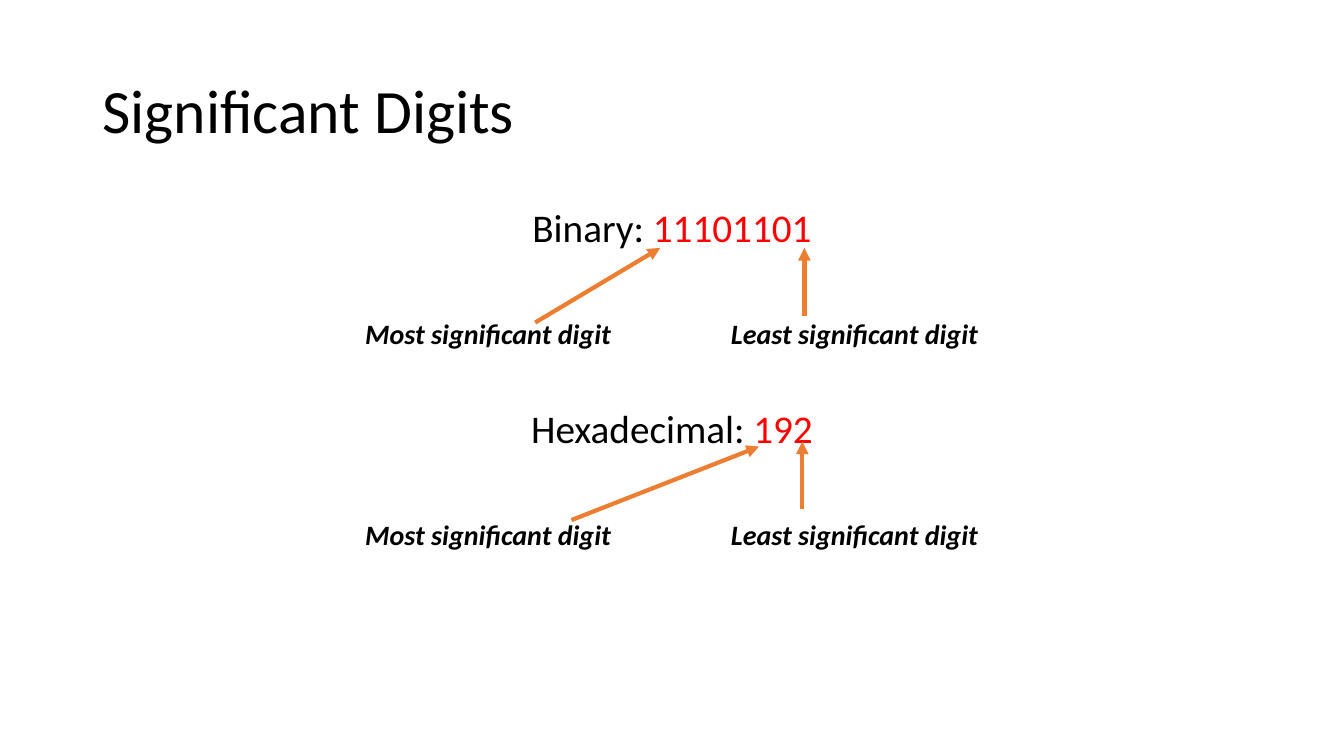
"""Build the slide on most and least significant digits."""
from dataclasses import dataclass

import lxml.etree
import pptx
import pptx.dml.color
import pptx.enum.shapes
import pptx.enum.text
import pptx.oxml.ns
import pptx.util

Pt = pptx.util.Pt
Align = pptx.enum.text.PP_ALIGN
Anchor = pptx.enum.text.MSO_ANCHOR


@dataclass(frozen=True)
class Theme:
    font: str = "Calibri"
    black: str = "000000"
    red: str = "FF0000"
    orange: str = "ED7D31"
    title_size: float = 44
    number_size: float = 28
    label_size: float = 20


theme = Theme()


def add_run(paragraph, text, size, color, emphasis=False):
    run = paragraph.add_run()
    run.text = text
    run.font.name = theme.font
    run.font.size = Pt(size)
    run.font.bold = run.font.italic = emphasis
    run.font.color.rgb = pptx.dml.color.RGBColor.from_string(color)


def add_centered_line(slide, center, top, width, height):
    box = slide.shapes.add_textbox(Pt(center - width / 2), Pt(top), Pt(width), Pt(height))
    frame = box.text_frame
    frame.word_wrap = True
    frame.vertical_anchor = Anchor.TOP
    frame.margin_left = frame.margin_right = frame.margin_top = frame.margin_bottom = 0
    paragraph = frame.paragraphs[0]
    paragraph.alignment = Align.CENTER
    return paragraph


presentation = pptx.Presentation()
presentation.slide_width = Pt(960)
presentation.slide_height = Pt(540)
slide = presentation.slides.add_slide(presentation.slide_layouts[5])

title = slide.shapes.title
title.left, title.top, title.width, title.height = Pt(66), Pt(28.8), Pt(828), Pt(104.4)
title.text_frame.vertical_anchor = Anchor.MIDDLE
title_paragraph = title.text_frame.paragraphs[0]
title_paragraph.alignment = Align.LEFT
title_paragraph.line_spacing = 0.9
add_run(title_paragraph, "Significant Digits", theme.title_size, theme.black)

first_top, example_pitch, label_offset = 145.5, 143.6, 80.5
examples = [("Binary: ", "11101101"), ("Hexadecimal: ", "192")]
labels = [("Most significant digit", 348.6), ("Least significant digit", 610.4)]

for index, (system, digits) in enumerate(examples):
    top = first_top + index * example_pitch
    number = add_centered_line(slide, 480, top, 400, 34)
    add_run(number, system, theme.number_size, theme.black)
    add_run(number, digits, theme.number_size, theme.red)
    for label, center in labels:
        paragraph = add_centered_line(slide, center, top + label_offset, 240, 25)
        add_run(paragraph, label, theme.label_size, theme.black, emphasis=True)

arrows = [
    (382.3, 230.4, 471.6, 177.1),
    (408.2, 371.5, 542.2, 319),
    (573.1, 363.6, 573.1, 315.4),
    (574.6, 225.4, 574.6, 177.1),
]
for arrow in arrows:
    connector = slide.shapes.add_connector(
        pptx.enum.shapes.MSO_CONNECTOR.STRAIGHT, *[Pt(value) for value in arrow]
    )
    connector.line.width = Pt(3)
    connector.line.color.rgb = pptx.dml.color.RGBColor.from_string(theme.orange)
    properties = connector._element.spPr
    outline = properties.find(pptx.oxml.ns.qn("a:ln"))
    lxml.etree.SubElement(outline, pptx.oxml.ns.qn("a:tailEnd"), type="triangle")
    lxml.etree.SubElement(properties, pptx.oxml.ns.qn("a:effectLst"))

presentation.save("out.pptx")
